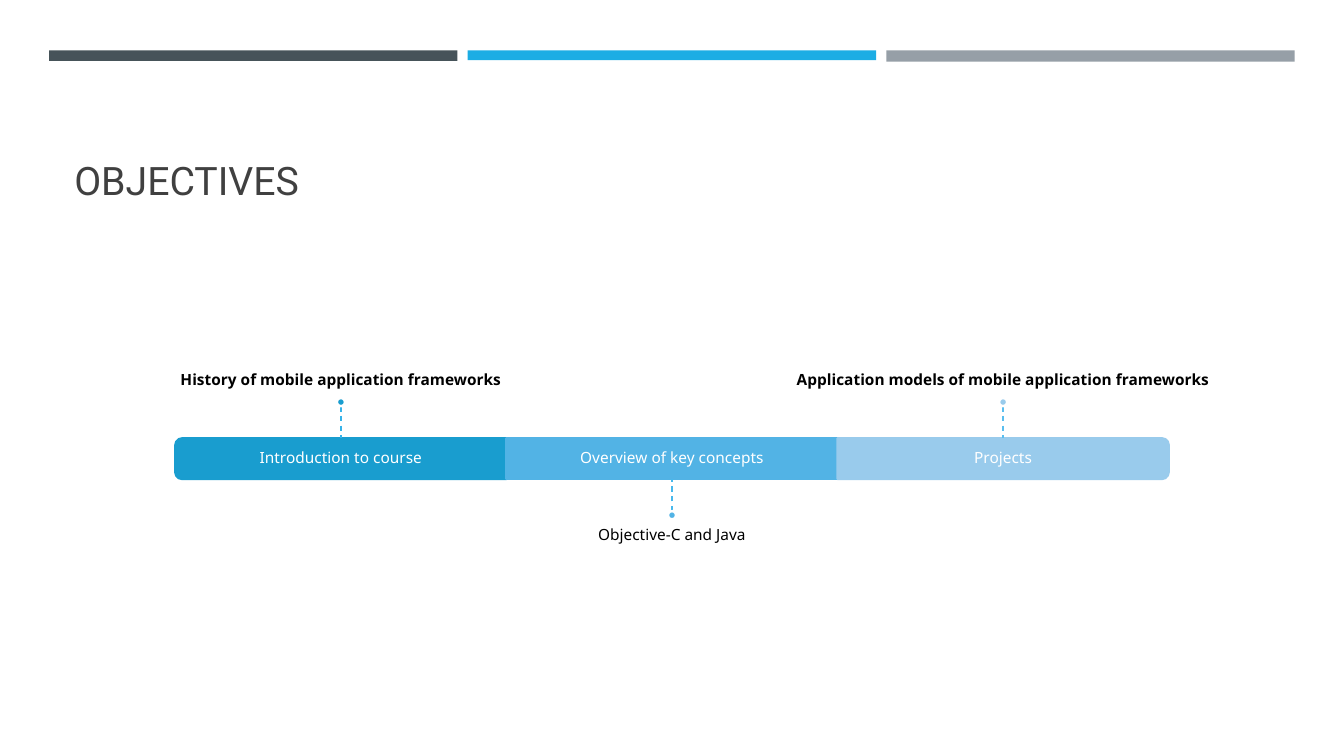
from lxml import etree
from pptx import Presentation
from pptx.dml.color import RGBColor
from pptx.enum.dml import MSO_LINE
from pptx.enum.shapes import MSO_CONNECTOR, MSO_SHAPE as SHAPE
from pptx.enum.text import MSO_ANCHOR as ANCHOR, PP_ALIGN as ALIGN
from pptx.oxml.ns import qn
from pptx.util import Pt

WHITE = RGBColor(0xFF, 0xFF, 0xFF)
BLACK = RGBColor(0x00, 0x00, 0x00)
TITLE_GRAY = RGBColor(0x40, 0x40, 0x40)
SLATE = RGBColor(0x46, 0x53, 0x59)
SKY = RGBColor(0x1C, 0xAD, 0xE4)
SILVER = RGBColor(0x96, 0x9F, 0xA7)
DEEP_BLUE = RGBColor(0x19, 0x9D, 0xCF)
MID_BLUE = RGBColor(0x52, 0xB3, 0xE5)
PALE_BLUE = RGBColor(0x99, 0xCB, 0xEC)
STEM_BLUES = [RGBColor(0x36, 0xB3, 0xE9), RGBColor(0x48, 0xB8, 0xEC), RGBColor(0x5A, 0xBE, 0xEF)]

presentation = Presentation()
presentation.slide_width, presentation.slide_height = Pt(960), Pt(540)
slide = presentation.slides.add_slide(presentation.slide_layouts[6])


def add_block(kind, left, top, width, height, fill, line=None):
    shape = slide.shapes.add_shape(kind, Pt(left), Pt(top), Pt(width), Pt(height))
    shape.shadow.inherit = False
    shape.fill.solid()
    shape.fill.fore_color.rgb = fill
    if line is None:
        shape.line.fill.background()
    else:
        shape.line.color.rgb = line
        shape.line.width = Pt(1.75)
    return shape


def add_text(text, box, margins, anchor, font_name, size, color, bold=False):
    frame = slide.shapes.add_textbox(*[Pt(length) for length in box]).text_frame
    frame.word_wrap = True
    frame.vertical_anchor = anchor
    frame.margin_left = frame.margin_right = Pt(margins[0])
    frame.margin_top, frame.margin_bottom = Pt(margins[1]), Pt(margins[2])
    paragraph = frame.paragraphs[0]
    paragraph.text = text
    paragraph.line_spacing = 0.9
    font = paragraph.font
    font.name, font.size, font.bold = font_name, Pt(size), bold
    font.color.rgb = color
    return paragraph


# Header bars
for index, (color, height) in enumerate([(SLATE, 7.5), (SKY, 7), (SILVER, 8)]):
    add_block(SHAPE.RECTANGLE, 35.1 + index * 299, 36, 291.7, height, color)

# Title
title = add_text("OBJECTIVES", (46, 55.4, 868, 93.6), (7.2, 3.6, 3.6), ANCHOR.BOTTOM,
                 "Roboto", 28, TITLE_GRAY)
title.line_spacing = 1.0

# Timeline: stage, note, colour, outline shape, rotation
STAGE_WIDTH, STAGE_HEIGHT = 236.5, 29
MIDDLE_X, MIDDLE_Y = 480, 327.6
NOTE_WIDTH, NOTE_HEIGHT = 394.6, 100
STEM, DOT = 23, 5.8
stages = [
    ("Introduction to course", "History of mobile application frameworks",
     DEEP_BLUE, SHAPE.ROUND_2_SAME_RECTANGLE, 270),
    ("Overview of key concepts", "Objective-C and Java", MID_BLUE, SHAPE.RECTANGLE, 0),
    ("Projects", "Application models of mobile application frameworks",
     PALE_BLUE, SHAPE.ROUND_2_SAME_RECTANGLE, 90),
]

for index, (stage, note, color, kind, rotation) in enumerate(stages):
    center = MIDDLE_X + (index - 1) * STAGE_WIDTH
    above = index % 2 == 0
    side = -1 if above else 1

    # Stage segment, the end ones turned so that their round corners face outward
    width, height = (STAGE_HEIGHT, STAGE_WIDTH) if rotation else (STAGE_WIDTH, STAGE_HEIGHT)
    segment = add_block(kind, center - width / 2, MIDDLE_Y - height / 2, width, height, color, color)
    segment.rotation = rotation
    label = add_text(stage, (center - STAGE_WIDTH / 2, MIDDLE_Y - STAGE_HEIGHT / 2, STAGE_WIDTH, STAGE_HEIGHT),
                     (6.5, 6.5, 6.5), ANCHOR.MIDDLE, "Noto Sans", 11, WHITE)
    label.alignment = ALIGN.CENTER

    # Note above or below the bar
    note_top = 184.4 if above else 370
    note_margins = (0, 0, 6.5) if above else (0, 6.5, 0)
    caption = add_text(note, (center - NOTE_WIDTH / 2, note_top, NOTE_WIDTH, NOTE_HEIGHT), note_margins,
                       ANCHOR.BOTTOM if above else ANCHOR.TOP, "Noto Sans", 11, BLACK, above)
    caption.alignment = ALIGN.CENTER

    # Dashed stem with a dot at its outer end
    stem_start = MIDDLE_Y + side * STAGE_HEIGHT / 2
    stem_end = stem_start + side * STEM
    stem = slide.shapes.add_connector(MSO_CONNECTOR.STRAIGHT, Pt(center), Pt(stem_end), Pt(center), Pt(stem_start))
    stem.line.color.rgb = STEM_BLUES[index]
    stem.line.width = Pt(1)
    stem.line.dash_style = MSO_LINE.DASH
    etree.SubElement(stem._element.spPr, qn("a:effectLst"))
    dot_middle = stem_end + side * DOT / 2
    add_block(SHAPE.OVAL, center - DOT / 2, dot_middle - DOT / 2, DOT, DOT, color, WHITE)

presentation.save("out.pptx")
